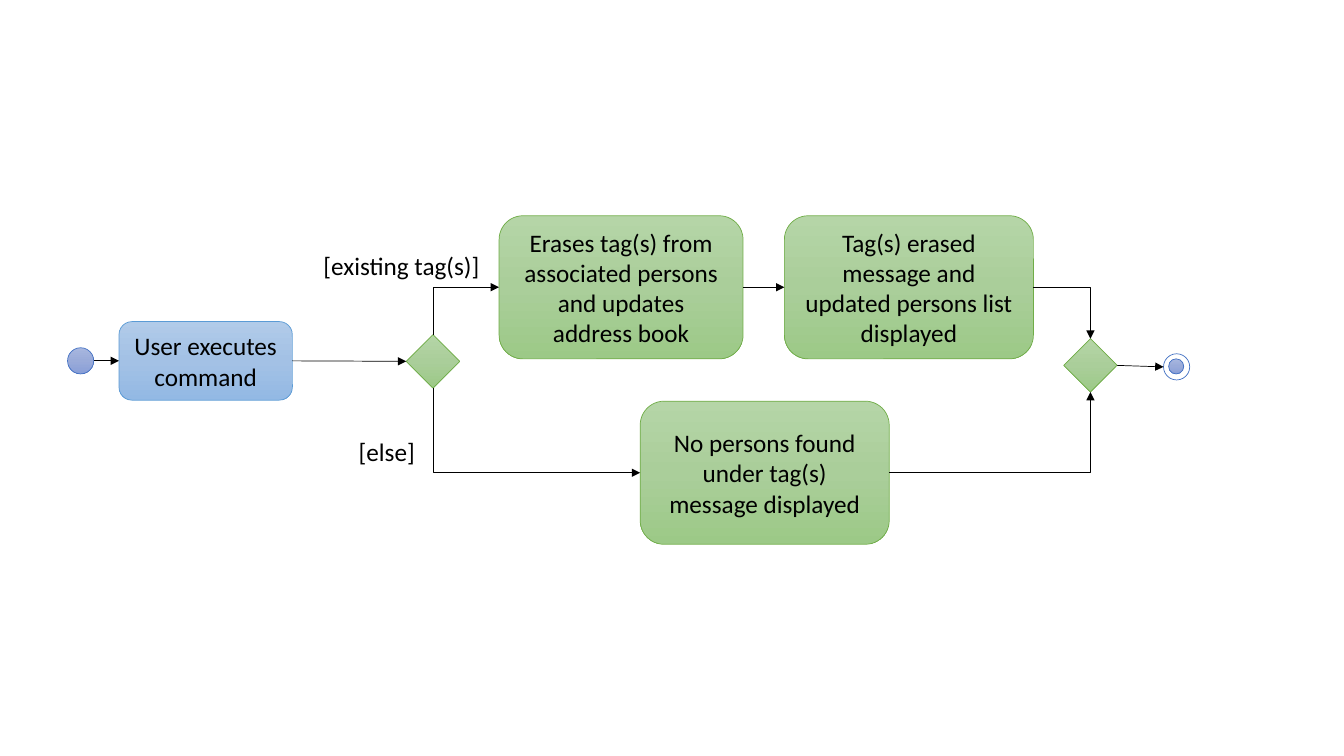
import copy

import pptx
import pptx.dml.color
import pptx.enum.shapes
import pptx.enum.text
import pptx.oxml
import pptx.oxml.ns
import pptx.util

Inches = pptx.util.Inches
Pt = pptx.util.Pt
SHAPES = pptx.enum.shapes.MSO_SHAPE
ALIGN = pptx.enum.text.PP_ALIGN
qn = pptx.oxml.ns.qn

# Connection sites, and the outline and gradient of each kind of node
TOP, LEFT, BOTTOM, RIGHT = range(4)
TERMINAL = ("4472C4", ["A8B7DF", "9AABD9", "889ED7"])
ACTION = ("5B9BD5", ["B1CBE9", "A3C1E5", "93B9E4"])
OUTCOME = ("70AD47", ["B5D5A7", "AACE9A", "9CC987"])
RING = ("4472C4", ["FFFFFF"])

DOT, DIAMOND = 0.26, 0.53
OUTCOME_HEIGHT = 1.42


def rgb(value):
    return pptx.dml.color.RGBColor.from_string(value)


def apply_format(target, values):
    for attribute, value in values.items():
        setattr(target, attribute, value)


def paint(node, colours):
    """Fill with one colour, or with a top-to-bottom gradient of three."""
    if len(colours) == 1:
        node.fill.solid()
        node.fill.fore_color.rgb = rgb(colours[0])
        return
    node.fill.gradient()
    node.fill.gradient_angle = 270
    first_stop = node._element.spPr.find(".//" + qn("a:gs"))
    first_stop.addnext(copy.deepcopy(first_stop))
    for stop, position, colour in zip(node.fill.gradient_stops, (0, 0.5, 1), colours):
        apply_format(stop, {"position": position})
        stop.color.rgb = rgb(colour)


def write(frame, text, align):
    apply_format(frame, {"word_wrap": True, "text": text})
    paragraph = frame.paragraphs[0]
    paragraph.alignment = align
    font = paragraph.runs[0].font
    apply_format(font, {"size": Pt(18), "name": "Calibri"})
    font.color.rgb = rgb("000000")


def add_node(shapes, kind, box, style, text=""):
    node = shapes.add_shape(kind, *map(Inches, box))
    outline, colours = style
    node.shadow.inherit = False
    paint(node, colours)
    node.line.color.rgb = rgb(outline)
    node.line.width = Pt(0.5)
    if text:
        node.text_frame.vertical_anchor = pptx.enum.text.MSO_ANCHOR.MIDDLE
        write(node.text_frame, text, ALIGN.CENTER)
    return node


def add_guard(slide, left, top, width, text):
    guard = slide.shapes.add_textbox(*map(Inches, (left, top, width, 0.4)))
    guard.text_frame.auto_size = pptx.enum.text.MSO_AUTO_SIZE.SHAPE_TO_FIT_TEXT
    write(guard.text_frame, text, ALIGN.LEFT)


def turn_quarter(flow):
    """Rotate a one-corner elbow so that it leaves its node vertically."""
    dx, dy = flow.end_x - flow.begin_x, flow.end_y - flow.begin_y
    middle_x, middle_y = flow.begin_x + dx // 2, flow.begin_y + dy // 2
    apply_format(flow, {
        "begin_x": middle_x - dy // 2, "begin_y": middle_y + dx // 2,
        "end_x": middle_x + dy // 2, "end_y": middle_y - dx // 2,
    })
    flow._element.spPr.find(qn("a:xfrm")).set("rot", "5400000")


def add_flow(slide, source, source_side, target, target_side):
    """Join two nodes; sides on different axes give an elbow."""
    bent = source_side % 2 != target_side % 2
    connector = pptx.enum.shapes.MSO_CONNECTOR
    flow = slide.shapes.add_connector(
        connector.ELBOW if bent else connector.STRAIGHT, 0, 0, 0, 0)
    flow.begin_connect(source, source_side)
    flow.end_connect(target, target_side)

    # An ellipse has eight sites, so its sides are every second one
    for tag, node, side in (("a:stCxn", source, source_side),
                            ("a:endCxn", target, target_side)):
        if node.auto_shape_type == SHAPES.OVAL:
            flow._element.find(".//" + qn(tag)).set("idx", str(side * 2))

    properties = flow._element.spPr
    if bent:
        properties.find(qn("a:prstGeom")).set("prst", "bentConnector2")
        if source_side in (TOP, BOTTOM):
            turn_quarter(flow)

    # Thin black line with an arrowhead and no shadow
    flow.line.color.rgb = rgb("000000")
    flow.line.width = Pt(0.5)
    arrowhead = pptx.oxml.parse_xml(
        '<a:tailEnd %s type="triangle"/>' % pptx.oxml.ns.nsdecls("a"))
    properties.find(qn("a:ln")).append(arrowhead)
    properties.append(pptx.oxml.parse_xml(
        "<a:effectLst %s/>" % pptx.oxml.ns.nsdecls("a")))


def main():
    presentation = pptx.Presentation()
    apply_format(presentation, {"slide_width": Inches(13.33), "slide_height": Inches(7.5)})
    slide = presentation.slides.add_slide(presentation.slide_layouts[6])
    shapes = slide.shapes

    # Start, command and the two diamonds
    start = add_node(shapes, SHAPES.OVAL, (0.67, 3.45, DOT, DOT), TERMINAL)
    command = add_node(shapes, SHAPES.ROUNDED_RECTANGLE, (1.18, 3.19, 1.72, 0.78),
                       ACTION, "User executes command")
    decision, merge = (
        add_node(shapes, SHAPES.DIAMOND, (left, top, DIAMOND, DIAMOND), OUTCOME)
        for left, top in ((4.03, 3.32), (10.55, 3.36)))

    # Outcomes of each branch
    erase, erased_message, not_found = (
        add_node(shapes, SHAPES.ROUNDED_RECTANGLE, (left, top, width, OUTCOME_HEIGHT),
                 OUTCOME, text)
        for left, top, width, text in (
            (4.95, 2.14, 2.42,
             "Erases tag(s) from associated persons and updates address book"),
            (7.78, 2.14, 2.47,
             "Tag(s) erased message and updated persons list displayed"),
            (6.35, 3.98, 2.47, "No persons found under tag(s) message displayed"),
        ))

    # Final node: a ring around a dot
    final = shapes.add_group_shape().shapes
    ring = add_node(final, SHAPES.OVAL, (11.54, 3.51, DOT, DOT), RING)
    add_node(final, SHAPES.OVAL, (11.59, 3.56, 0.15, 0.15), TERMINAL)

    # Branch conditions
    add_guard(slide, 3.11, 2.43, 1.99, "[existing tag(s)]")
    add_guard(slide, 3.46, 4.28, 0.93, "[else]")

    # Flows
    for flow in (
        (start, RIGHT, command, LEFT),
        (command, RIGHT, decision, LEFT),
        (decision, TOP, erase, LEFT),
        (decision, BOTTOM, not_found, LEFT),
        (erase, RIGHT, erased_message, LEFT),
        (erased_message, RIGHT, merge, TOP),
        (not_found, RIGHT, merge, BOTTOM),
        (merge, RIGHT, ring, LEFT),
    ):
        add_flow(slide, *flow)

    presentation.save("out.pptx")


if __name__ == "__main__":
    main()
